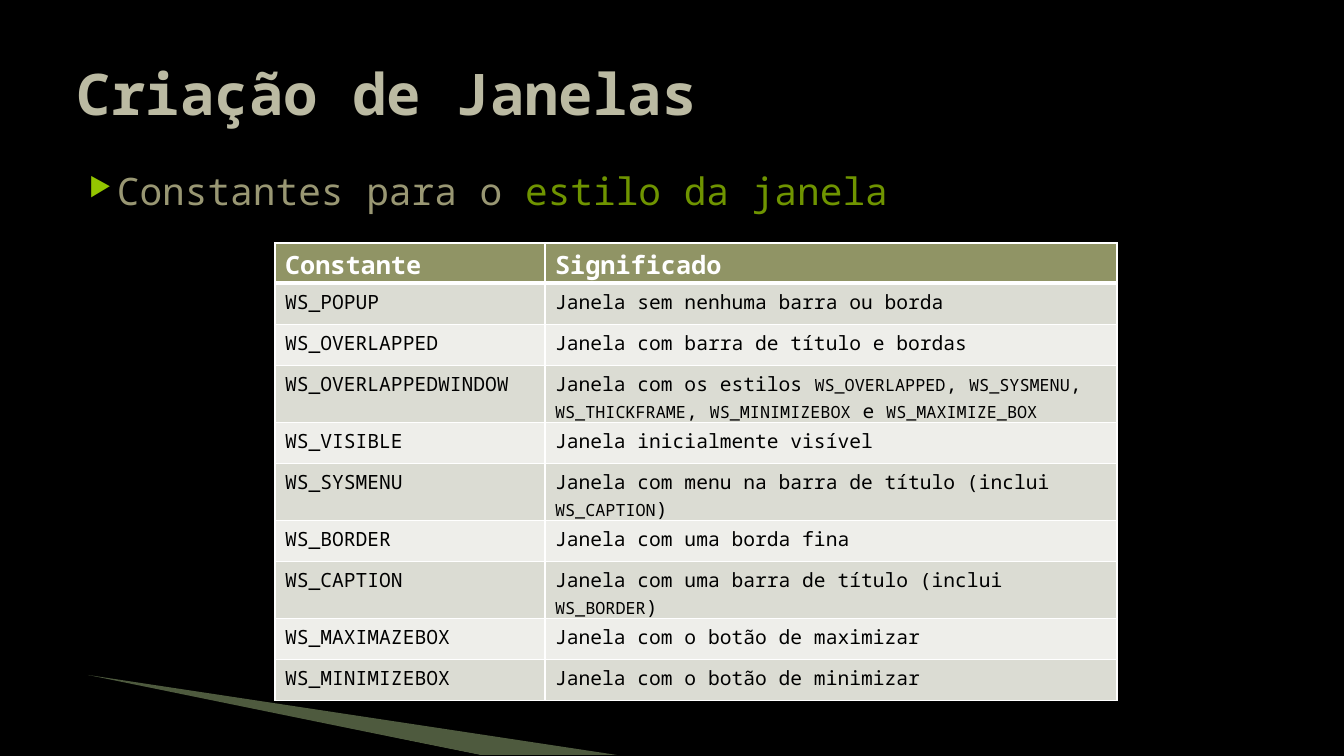
from dataclasses import dataclass
from typing import Any

from lxml.etree import SubElement as Sub
from pptx import Presentation
from pptx.dml.color import RGBColor as Rgb
from pptx.enum.text import MSO_ANCHOR as Anchor
from pptx.oxml import parse_xml
from pptx.oxml.ns import nsdecls, qn
from pptx.util import Pt

SCALE = 914400 / 100.8


def px(n: int) -> int:
    return round(n * SCALE)


@dataclass(frozen=True)
class Theme:
    font: str = "Noto Sans Mono"
    black: str = "000000"
    white: str = "FFFFFF"
    title: str = "BBBAA2"
    body: str = "999773"
    accent: str = "6F9400"
    bullet: str = "94C600"
    wedge: str = "C3E19D"
    head: str = "909465"
    bands: tuple[str, str] = ("DBDCD3", "EEEEEA")
    title_pt: int = 41
    body_pt: int = 27
    head_pt: int = 18
    cell_pt: int = 14
    code_pt: int = 12


@dataclass(frozen=True)
class Wedge:
    points: tuple[tuple[int, int], ...]
    color: str
    alpha: int


@dataclass(frozen=True)
class Style:
    name: str
    sense: str  # text between bars is code in a smaller size


T = Theme()

WEDGES = (
    Wedge(((88, 675), (617, 755), (480, 755)), T.wedge, 40),
    Wedge(((85, 677), (480, 755), (397, 755)), T.black, 100),
)

STYLES = (
    Style("WS_POPUP", "Janela sem nenhuma barra ou borda"),
    Style("WS_OVERLAPPED", "Janela com barra de título e bordas"),
    Style("WS_OVERLAPPEDWINDOW",
          "Janela com os estilos |WS_OVERLAPPED|, |WS_SYSMENU|, "
          "|WS_THICKFRAME|, |WS_MINIMIZEBOX| e |WS_MAXIMIZE_BOX|"),
    Style("WS_VISIBLE", "Janela inicialmente visível"),
    Style("WS_SYSMENU", "Janela com menu na barra de título (inclui |WS_CAPTION|)"),
    Style("WS_BORDER", "Janela com uma borda fina"),
    Style("WS_CAPTION", "Janela com uma barra de título (inclui |WS_BORDER|)"),
    Style("WS_MAXIMAZEBOX", "Janela com o botão de maximizar"),
    Style("WS_MINIMIZEBOX", "Janela com o botão de minimizar"),
)


def add_run(para: Any, text: str, size: int, color: str, bold: bool = False) -> None:
    run = para.add_run()
    run.text = text
    font = run.font
    font.name, font.size, font.bold = T.font, Pt(size), bold
    font.color.rgb = Rgb.from_string(color)


def add_box(slide: Any, top: int, height: int, anchor: Anchor) -> Any:
    frame = slide.shapes.add_textbox(px(67), px(top), px(1210), px(height)).text_frame
    frame.word_wrap = True
    frame.vertical_anchor = anchor
    return frame.paragraphs[0]


def add_wedge(slide: Any, wedge: Wedge) -> None:
    first, *rest = wedge.points
    path = slide.shapes.build_freeform(*first, scale=SCALE)
    path.add_line_segments(rest, close=True)
    shape = path.convert_to_shape()
    shape.shadow.inherit = False
    shape.line.fill.background()
    shape.fill.solid()
    shape.fill.fore_color.rgb = Rgb.from_string(wedge.color)
    if wedge.alpha < 100:
        tone = shape.fill._xPr.find(qn("a:solidFill"))[0]
        Sub(tone, qn("a:alpha"), val=str(wedge.alpha * 1000))


def add_bullet(para: Any) -> None:
    para.space_before = Pt(4)
    props = para._p.get_or_add_pPr()
    props.set("marL", str(px(40)))
    props.set("indent", str(px(-28)))
    tone = Sub(props, qn("a:buClr"))
    Sub(tone, qn("a:srgbClr"), val=T.bullet)
    Sub(props, qn("a:buSzPct"), val="68000")
    Sub(props, qn("a:buChar"), char="▶")


def set_cell(cell: Any, fill: str, top: int, base: int) -> Any:
    cell.fill.solid()
    cell.fill.fore_color.rgb = Rgb.from_string(fill)
    props = cell._tc.get_or_add_tcPr()
    for i, (side, width) in enumerate(zip("LRTB", (1, 1, top, base))):
        props.insert(i, parse_xml(
            f'<a:ln{side} {nsdecls("a")} w="{Pt(width)}"><a:solidFill>'
            f'<a:srgbClr val="{T.white}"/></a:solidFill></a:ln{side}>'))
    return cell.text_frame.paragraphs[0]


def add_grid(slide: Any) -> None:
    count = len(STYLES) + 1
    grid = slide.shapes.add_table(count, 2, px(275), px(243), px(842), px(424)).table
    for col, width in zip(grid.columns, (270, 572)):
        col.width = px(width)
    for i, row in enumerate(grid.rows):
        row.height = px(41 if i else 25)

    # Header row
    for cell, text in zip(grid.rows[0].cells, ("Constante", "Significado")):
        add_run(set_cell(cell, T.head, 1, 3), text, T.head_pt, T.white, True)

    # Banded rows
    for i, style in enumerate(STYLES):
        for cell, text in zip(grid.rows[i + 1].cells, (style.name, style.sense)):
            para = set_cell(cell, T.bands[i % 2], 1 if i else 3, 1)
            for j, part in enumerate(text.split("|")):
                add_run(para, part, T.code_pt if j % 2 else T.cell_pt, T.black)


def main() -> None:
    deck = Presentation()
    deck.slide_width, deck.slide_height = px(1344), px(756)
    slide = deck.slides.add_slide(deck.slide_layouts[6])

    # Backdrop
    back = slide.background.fill
    back.solid()
    back.fore_color.rgb = Rgb.from_string(T.black)
    for wedge in WEDGES:
        add_wedge(slide, wedge)

    # Body and title
    body = add_box(slide, 163, 499, Anchor.TOP)
    add_bullet(body)
    add_run(body, "Constantes para o ", T.body_pt, T.body)
    add_run(body, "estilo da janela", T.body_pt, T.accent)
    title = add_box(slide, 30, 126, Anchor.MIDDLE)
    add_run(title, "Criação de Janelas", T.title_pt, T.title, True)

    # Table of window styles
    add_grid(slide)
    deck.save("out.pptx")


main()
